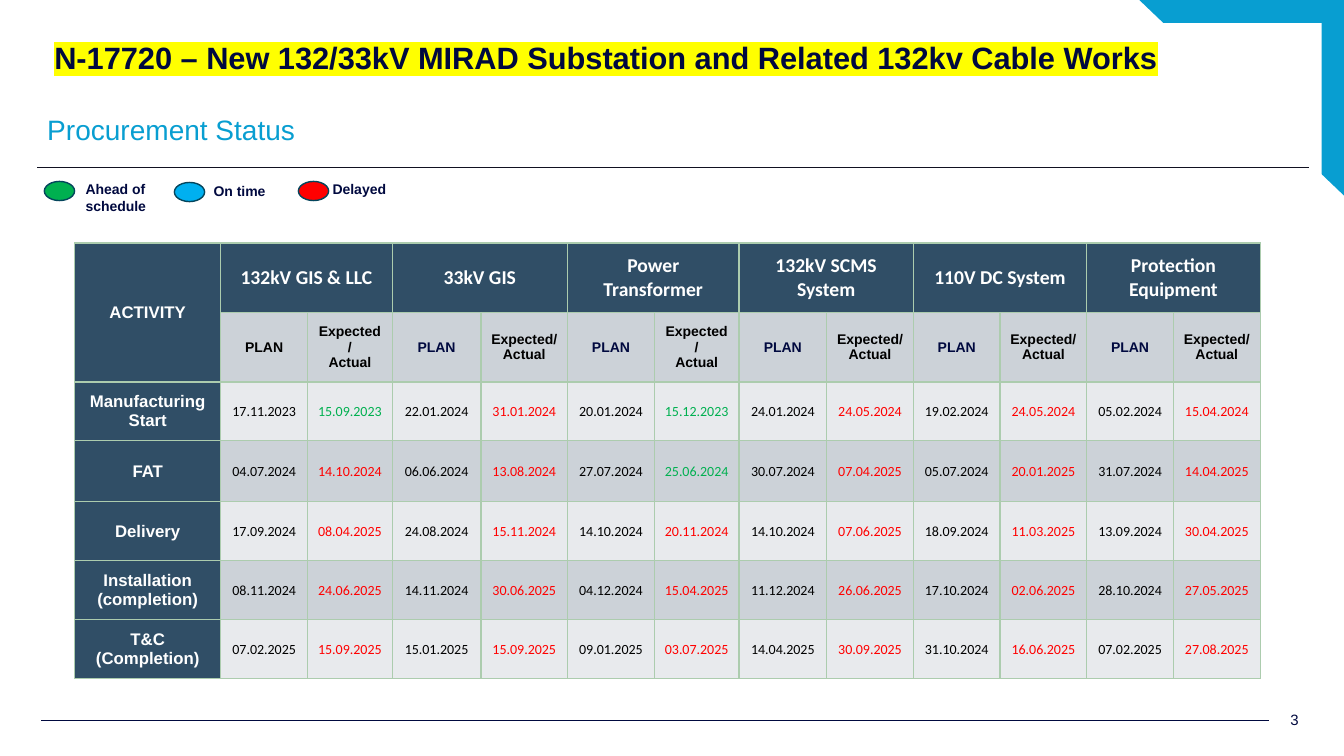
from lxml.etree import SubElement
from pptx import Presentation
from pptx.dml.color import RGBColor
from pptx.enum.shapes import MSO_CONNECTOR, MSO_SHAPE
from pptx.enum.text import MSO_ANCHOR, PP_ALIGN
from pptx.oxml import parse_xml
from pptx.oxml.ns import nsdecls, qn
from pptx.util import Inches, Pt

NAVY = RGBColor(0x00, 0x09, 0x3F)
CYAN = RGBColor(0x08, 0x9E, 0xD1)
WHITE = RGBColor(0xFF, 0xFF, 0xFF)
BLACK = RGBColor(0x00, 0x00, 0x00)
RULE = RGBColor(0x11, 0x11, 0x21)
SLATE = RGBColor(0x30, 0x4E, 0x66)
DARK_BAND = RGBColor(0xCC, 0xD2, 0xD8)
LIGHT_BAND = RGBColor(0xE8, 0xEA, 0xED)
GREEN = RGBColor(0x00, 0xB0, 0x50)
BLUE = RGBColor(0x00, 0xB0, 0xF0)
RED = RGBColor(0xFF, 0x00, 0x00)
OVAL_EDGE = RGBColor(0x04, 0x45, 0x5C)
GRID = RGBColor(0xAC, 0xCC, 0xAE)
HIGHLIGHT = RGBColor(0xFF, 0xFF, 0x00)

TITLE = "N-17720 – New 132/33kV MIRAD Substation and Related 132kv Cable Works"
SUBTITLE = "Procurement Status"
PAGE_NUMBER = "3"

# label, colour, oval left and top, label left, top, width and height
LEGEND = [
    ("Ahead of schedule", GREEN, (0.44, 1.8), (0.75, 1.74, 0.89, 0.44)),
    ("On time", BLUE, (1.73, 1.81), (2.02, 1.76, 0.73, 0.27)),
    ("Delayed", RED, (2.96, 1.8), (3.2, 1.74, 1.14, 0.27)),
]

EQUIPMENT = ["132kV GIS & LLC", "33kV GIS", "Power Transformer",
             "132kV SCMS System", "110V DC System", "Protection Equipment"]
# activity, then plan and expected dates for each piece of equipment
SCHEDULE = [
    ("Manufacturing Start",
     "17.11.2023 15.09.2023 22.01.2024 31.01.2024 20.01.2024 15.12.2023 "
     "24.01.2024 24.05.2024 19.02.2024 24.05.2024 05.02.2024 15.04.2024"),
    ("FAT",
     "04.07.2024 14.10.2024 06.06.2024 13.08.2024 27.07.2024 25.06.2024 "
     "30.07.2024 07.04.2025 05.07.2024 20.01.2025 31.07.2024 14.04.2025"),
    ("Delivery",
     "17.09.2024 08.04.2025 24.08.2024 15.11.2024 14.10.2024 20.11.2024 "
     "14.10.2024 07.06.2025 18.09.2024 11.03.2025 13.09.2024 30.04.2025"),
    ("Installation (completion)",
     "08.11.2024 24.06.2025 14.11.2024 30.06.2025 04.12.2024 15.04.2025 "
     "11.12.2024 26.06.2025 17.10.2024 02.06.2025 28.10.2024 27.05.2025"),
    ("T&C (Completion)",
     "07.02.2025 15.09.2025 15.01.2025 15.09.2025 09.01.2025 03.07.2025 "
     "14.04.2025 30.09.2025 31.10.2024 16.06.2025 07.02.2025 27.08.2025"),
]
COLUMN_WIDTHS = [1.45, 0.86, 0.84, 0.88, 0.86, 0.86, 0.84, 0.87] + [0.86] * 5
ROW_HEIGHTS = [0.69, 0.69, 0.58, 0.61, 0.58, 0.59, 0.58]


def write(frame, lines, size, color, bold=False, font="Arial",
          align=PP_ALIGN.LEFT, spacing=None, after=None):
    """Fill a text frame, one paragraph per line, and return the last run."""
    frame.word_wrap = True
    for index, line in enumerate(lines):
        paragraph = frame.add_paragraph() if index else frame.paragraphs[0]
        paragraph.alignment = align
        if spacing:
            paragraph.line_spacing = spacing
        if after:
            paragraph.space_after = Pt(after)
        run = paragraph.add_run()
        run.text = line
        run.font.name = font
        run.font.size = Pt(size)
        run.font.bold = bold
        run.font.color.rgb = color
    return run


def add_text(slide, box, text, size, color, anchor=MSO_ANCHOR.TOP, **style):
    frame = slide.shapes.add_textbox(*map(Inches, box)).text_frame
    frame.vertical_anchor = anchor
    return write(frame, [text], size, color, **style)


def highlight(run, color):
    properties = run.font._element
    mark = SubElement(properties, qn("a:highlight"))
    SubElement(mark, qn("a:srgbClr")).set("val", str(color))
    properties.find(qn("a:solidFill")).addnext(mark)


def paint(shape, fill, edge=None):
    shape.shadow.inherit = False
    shape.fill.solid()
    shape.fill.fore_color.rgb = fill
    if edge is None:
        shape.line.fill.background()
    else:
        shape.line.color.rgb = edge
        shape.line.width = Pt(1)


def add_rule(slide, left, right, top, color):
    line = slide.shapes.add_connector(
        MSO_CONNECTOR.STRAIGHT, Inches(left), Inches(top), Inches(right), Inches(top))
    line.line.color.rgb = color
    line.line.width = Pt(0.25)
    SubElement(line._element.spPr, qn("a:effectLst"))


def add_corner(slide):
    """Blue band folded around the top right corner."""
    builder = slide.shapes.build_freeform(Inches(11.3), 0)
    builder.add_line_segments([(Inches(13.33), 0), (Inches(13.33), Inches(1.94))])
    paint(builder.convert_to_shape(), CYAN)
    inner = slide.shapes.add_shape(
        MSO_SHAPE.RECTANGLE, *map(Inches, (11.08, 0.23, 2.03, 1.94)))
    paint(inner, WHITE)


def add_legend(slide):
    for label, color, oval_place, label_box in LEGEND:
        oval = slide.shapes.add_shape(
            MSO_SHAPE.OVAL, *map(Inches, oval_place + (0.3, 0.19)))
        paint(oval, color, OVAL_EDGE)
        add_text(slide, label_box, label, 10, NAVY, bold=True)


def set_borders(cell):
    properties = cell._tc.get_or_add_tcPr()
    for index, side in enumerate(("lnL", "lnR", "lnT", "lnB")):
        properties.insert(index, parse_xml(
            f'<a:{side} {nsdecls("a")} w="12700"><a:solidFill>'
            f'<a:srgbClr val="{GRID}"/></a:solidFill></a:{side}>'))


def fill_cell(cell, lines, fill, size, color, bold=True, font="Arial", side=0.1, top=0):
    cell.fill.solid()
    cell.fill.fore_color.rgb = fill
    cell.vertical_anchor = MSO_ANCHOR.MIDDLE
    cell.margin_left = cell.margin_right = Inches(side)
    cell.margin_top, cell.margin_bottom = Inches(top), 0
    write(cell.text_frame, lines, size, color, bold, font, PP_ALIGN.CENTER)


def date_key(date):
    return date.split(".")[::-1]


def add_schedule(slide):
    table = slide.shapes.add_table(
        len(ROW_HEIGHTS), len(COLUMN_WIDTHS), Inches(0.74), Inches(2.41),
        Inches(sum(COLUMN_WIDTHS)), Inches(sum(ROW_HEIGHTS))).table
    table.first_row = table.horz_banding = False
    for column, width in zip(table.columns, COLUMN_WIDTHS):
        column.width = Inches(width)
    for row, height in zip(table.rows, ROW_HEIGHTS):
        row.height = Inches(height)
    for cell in table.iter_cells():
        set_borders(cell)

    table.cell(0, 0).merge(table.cell(1, 0))
    fill_cell(table.cell(0, 0), ["ACTIVITY"], SLATE, 12, WHITE)
    for index, name in enumerate(EQUIPMENT):
        plan = 1 + 2 * index
        table.cell(0, plan).merge(table.cell(0, plan + 1))
        fill_cell(table.cell(0, plan), [name], SLATE, 14, WHITE, font="Calibri")
        fill_cell(table.cell(1, plan), ["PLAN"], DARK_BAND, 10, NAVY if index else BLACK)
        fill_cell(table.cell(1, plan + 1), ["Expected/", "Actual"], DARK_BAND, 10, BLACK)

    for row, (activity, dates) in enumerate(SCHEDULE, start=2):
        fill_cell(table.cell(row, 0), [activity], SLATE, 12, WHITE)
        band = DARK_BAND if row % 2 else LIGHT_BAND
        dates = dates.split()
        for column, date in enumerate(dates, start=1):
            color = BLACK
            if column % 2 == 0:
                early = date_key(date) < date_key(dates[column - 2])
                color = GREEN if early else RED
            fill_cell(table.cell(row, column), [date], band, 10, color,
                      bold=False, font="Calibri", side=0.01, top=0.01)


def main():
    presentation = Presentation()
    presentation.slide_width = Inches(13.33)
    presentation.slide_height = Inches(7.5)
    slide = presentation.slides.add_slide(presentation.slide_layouts[6])

    add_corner(slide)
    add_rule(slide, 0.37, 12.98, 1.66, RULE)
    add_rule(slide, 0.41, 12.59, 7.14, NAVY)
    add_text(slide, (12.59, 6.94, 0.5, 0.4), PAGE_NUMBER, 10.7, NAVY,
             MSO_ANCHOR.MIDDLE, align=PP_ALIGN.CENTER, after=8)
    add_text(slide, (0.37, 1.06, 10.95, 0.49), SUBTITLE, 20, CYAN,
             MSO_ANCHOR.MIDDLE, spacing=0.9, after=8)
    add_schedule(slide)
    add_legend(slide)
    title = add_text(slide, (0.44, 0.38, 12.34, 0.49), TITLE, 22, NAVY,
                     bold=True, spacing=0.9)
    highlight(title, HIGHLIGHT)
    presentation.save("out.pptx")


if __name__ == "__main__":
    main()
